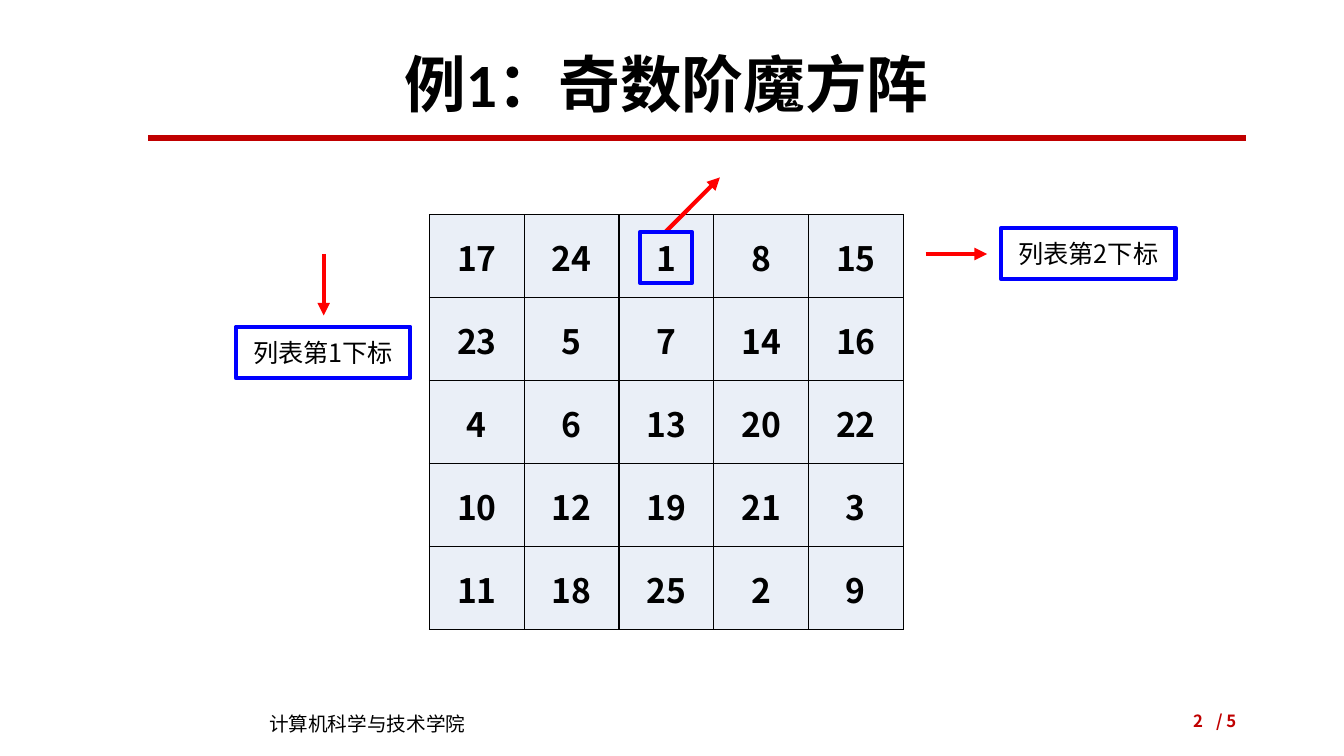
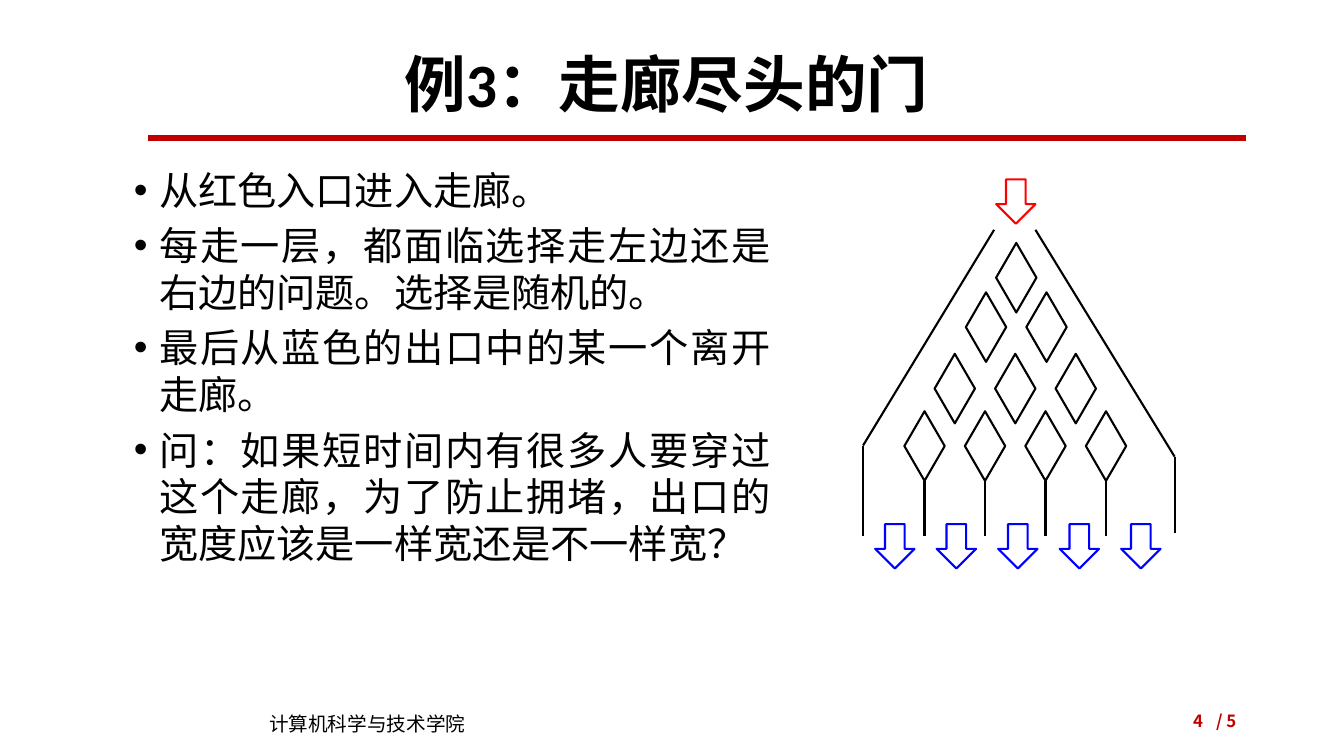
from dataclasses import dataclass
from typing import NamedTuple, Optional

from lxml import etree
from pptx import Presentation
from pptx import slide as slides
from pptx import util as u
from pptx.dml.color import RGBColor
from pptx.enum import shapes, text
from pptx.oxml import ns
from pptx.shapes import shapetree
from pptx.text import text as texts

EMU_PER_PX = 9144  # 100 px to the inch


# Theme
@dataclass(frozen=True)
class Theme:
    black: str = "000000"
    white: str = "FFFFFF"
    brand: str = "C00000"
    red: str = "FF0000"
    blue: str = "0000FF"
    cell: str = "EAEFF7"
    cjk: str = "Noto Sans CJK SC"
    title_font: str = "Calibri"
    body_font: str = "Arial"
    title_size: int = 44
    body_size: int = 28
    body_leading: float = 33.5
    table_size: int = 24
    label_size: int = 18
    footer_size: int = 14
    page_size: int = 12
    rule: float = 4.5
    bold_line: float = 3
    thin_line: float = 1.5
    grid_line: float = 1


THEME = Theme()


class Box(NamedTuple):
    left: int
    top: int
    width: int
    height: int


class Segment(NamedTuple):
    x1: int
    y1: int
    x2: int
    y2: int


class TextStyle(NamedTuple):
    size: int
    color: str = THEME.black
    bold: bool = False
    font: str = THEME.cjk
    align: text.PP_ALIGN = text.PP_ALIGN.LEFT


class Label(NamedTuple):
    box: Box
    caption: str


class DiamondRow(NamedTuple):
    left: int
    top: int
    count: int


TITLE = TextStyle(THEME.title_size, bold=True, font=THEME.title_font,
                  align=text.PP_ALIGN.CENTER)
BODY = TextStyle(THEME.body_size, font=THEME.body_font, align=text.PP_ALIGN.JUSTIFY)
NUMBER = TextStyle(THEME.table_size, bold=True, align=text.PP_ALIGN.CENTER)
LABEL = TextStyle(THEME.label_size, align=text.PP_ALIGN.CENTER)
FOOTER = TextStyle(THEME.footer_size)
PAGE = TextStyle(THEME.page_size, THEME.brand, True, align=text.PP_ALIGN.RIGHT)

# Content
MAGIC_SQUARE = (
    (17, 24, 1, 8, 15),
    (23, 5, 7, 14, 16),
    (4, 6, 13, 20, 22),
    (10, 12, 19, 21, 3),
    (11, 18, 25, 2, 9),
)
LABELS = (
    Label(Box(635, 230, 51, 51), ""),
    Label(Box(993, 226, 173, 51), "列表第2下标"),
    Label(Box(234, 324, 173, 51), "列表第1下标"),
)
POINTERS = (
    Segment(660, 230, 714, 176),
    Segment(918, 252, 979, 252),
    Segment(321, 252, 321, 313),
)
RULES = (
    "从红色入口进入走廊。",
    "每走一层，都面临选择走左边还是右边的问题。选择是随机的。",
    "最后从蓝色的出口中的某一个离开走廊。",
    "问：如果短时间内有很多人要穿过这个走廊，为了防止拥堵，出口的宽度应该是一样宽还是不一样宽？",
)
DIAMOND_ROWS = (
    DiamondRow(988, 241, 1),
    DiamondRow(958, 290, 2),
    DiamondRow(927, 351, 3),
    DiamondRow(897, 408, 4),
)
DIAMOND_STEP = 60
WALLS = (
    Segment(986, 228, 856, 442),
    Segment(856, 442, 856, 532),
    Segment(1027, 228, 1165, 453),
    Segment(1165, 453, 1165, 529),
)
EXIT_STEP = 61


# Helpers
def px(length: float) -> u.Emu:
    return u.Emu(round(length * EMU_PER_PX))


def emu_box(box: Box) -> list[u.Emu]:
    return [px(length) for length in box]


def rgb(color: str) -> RGBColor:
    return RGBColor.from_string(color)


def add_element(parent: etree._Element, tag: str, **attributes: str) -> etree._Element:
    return etree.SubElement(parent, ns.qn(tag), attributes)


def style_paragraph(paragraph: texts._Paragraph, style: TextStyle) -> None:
    paragraph.alignment = style.align
    for run in paragraph.runs:
        run.font.size = u.Pt(style.size)
        run.font.bold = style.bold
        run.font.name = style.font
        run.font.color.rgb = rgb(style.color)
        add_element(run._r.get_or_add_rPr(), "a:ea", typeface=THEME.cjk)


def add_text(slide: slides.Slide, box: Box, content: str, style: TextStyle,
             anchor: text.MSO_ANCHOR = text.MSO_ANCHOR.MIDDLE) -> texts.TextFrame:
    text_frame = slide.shapes.add_textbox(*emu_box(box)).text_frame
    text_frame.word_wrap = True
    text_frame.vertical_anchor = anchor
    text_frame.text = content
    for paragraph in text_frame.paragraphs:
        style_paragraph(paragraph, style)
    return text_frame


def add_line(tree: shapetree._BaseGroupShapes, segment: Segment, color: str,
             width: float, arrow: bool = False) -> None:
    connector = tree.add_connector(shapes.MSO_CONNECTOR.STRAIGHT,
                                   *(px(length) for length in segment))
    connector.line.color.rgb = rgb(color)
    connector.line.width = u.Pt(width)
    if arrow:
        add_element(connector.line._get_or_add_ln(), "a:tailEnd", type="triangle")
    add_element(connector._element.spPr, "a:effectLst")


def add_outline(tree: shapetree._BaseGroupShapes, kind: shapes.MSO_SHAPE, box: Box,
                color: str, width: float, fill: Optional[str] = None,
                caption: str = "") -> None:
    shape = tree.add_shape(kind, *emu_box(box))
    shape.shadow.inherit = False
    if fill:
        shape.fill.solid()
        shape.fill.fore_color.rgb = rgb(fill)
    else:
        shape.fill.background()
    shape.line.color.rgb = rgb(color)
    shape.line.width = u.Pt(width)
    if caption:
        shape.text_frame.text = caption
        shape.text_frame.word_wrap = False
        shape.text_frame.vertical_anchor = text.MSO_ANCHOR.MIDDLE
        style_paragraph(shape.text_frame.paragraphs[0], LABEL)


# Shared frame: title, rule, footer and page number
def add_titled_slide(presentation: Presentation, heading: str, page: int) -> slides.Slide:
    slide = presentation.slides.add_slide(presentation.slide_layouts[5])
    title = slide.shapes.title
    title.left, title.top, title.width, title.height = emu_box(Box(86, 40, 1150, 94))
    title.text_frame.text = heading
    title.text_frame.vertical_anchor = text.MSO_ANCHOR.MIDDLE
    title.text_frame.paragraphs[0].line_spacing = 0.9
    style_paragraph(title.text_frame.paragraphs[0], TITLE)

    add_line(slide.shapes, Segment(147, 137, 1236, 137), THEME.brand, THEME.rule)
    add_text(slide, Box(257, 701, 292, 34), "计算机科学与技术学院", FOOTER,
             text.MSO_ANCHOR.TOP)
    add_text(slide, Box(1161, 695, 75, 40), "/ 5", PAGE)
    add_text(slide, Box(942, 695, 261, 40), str(page), PAGE)
    return slide


# Magic square
def add_number_table(slide: slides.Slide, box: Box) -> None:
    size = len(MAGIC_SQUARE)
    table = slide.shapes.add_table(size, size, *emu_box(box)).table
    for column in table.columns:
        column.width = px(box.width / size)
    for row, numbers in zip(table.rows, MAGIC_SQUARE):
        row.height = px(box.height / size)
        for cell, number in zip(row.cells, numbers):
            cell.text_frame.text = str(number)
            style_paragraph(cell.text_frame.paragraphs[0], NUMBER)
            cell.vertical_anchor = text.MSO_ANCHOR.MIDDLE
            cell.margin_left = cell.margin_right = cell.margin_top = px(1)
            cell.margin_bottom = 0
            properties = cell._tc.get_or_add_tcPr()
            for side in ("a:lnL", "a:lnR", "a:lnT", "a:lnB"):
                border = add_element(properties, side, w=str(u.Pt(THEME.grid_line)))
                add_element(add_element(border, "a:solidFill"), "a:srgbClr",
                            val=THEME.black)
            cell.fill.solid()
            cell.fill.fore_color.rgb = rgb(THEME.cell)


def build_magic_square(presentation: Presentation) -> None:
    slide = add_titled_slide(presentation, "例1：奇数阶魔方阵", 2)
    add_number_table(slide, Box(426, 213, 470, 412))
    for pointer in POINTERS:
        add_line(slide.shapes, pointer, THEME.red, THEME.bold_line, arrow=True)
    for label in LABELS:
        add_outline(slide.shapes, shapes.MSO_SHAPE.RECTANGLE, label.box, THEME.blue,
                    THEME.bold_line, caption=label.caption)


# Corridor
def add_bullets(slide: slides.Slide, box: Box) -> None:
    text_frame = add_text(slide, box, "\n".join(RULES), BODY, text.MSO_ANCHOR.TOP)
    for index, paragraph in enumerate(text_frame.paragraphs):
        properties = paragraph._p.get_or_add_pPr()
        properties.set("marL", str(px(25)))
        properties.set("indent", str(px(-25)))
        add_element(properties, "a:buFont", typeface=THEME.body_font)
        add_element(properties, "a:buChar", char="•")
        paragraph.line_spacing = u.Pt(THEME.body_leading)
        paragraph.space_before = u.Pt(6 if index else 0)


def add_corridor(slide: slides.Slide) -> None:
    tree = slide.shapes.add_group_shape().shapes
    for row in DIAMOND_ROWS:
        for index in range(row.count):
            box = Box(row.left + index * DIAMOND_STEP, row.top, 40, 69)
            add_outline(tree, shapes.MSO_SHAPE.DIAMOND, box, THEME.black,
                        THEME.thin_line, THEME.white)
    partitions = [Segment(x, 477, x, 532)
                  for x in range(917, 917 + 4 * DIAMOND_STEP, DIAMOND_STEP)]
    for wall in (*WALLS, *partitions):
        add_line(tree, wall, THEME.black, THEME.thin_line)

    doors = [(988, 178, THEME.red)]
    doors += [(868 + index * EXIT_STEP, 520, THEME.blue) for index in range(5)]
    for left, top, color in doors:
        add_outline(tree, shapes.MSO_SHAPE.DOWN_ARROW, Box(left, top, 39, 44), color,
                    THEME.thin_line, THEME.white)


def build_corridor(presentation: Presentation) -> None:
    slide = add_titled_slide(presentation, "例3：走廊尽头的门", 4)
    add_bullets(slide, Box(123, 160, 651, 515))
    add_corridor(slide)


def main() -> None:
    presentation = Presentation()
    presentation.slide_width, presentation.slide_height = px(1333), px(750)
    build_magic_square(presentation)
    build_corridor(presentation)
    presentation.save("out.pptx")


if __name__ == "__main__":
    main()
